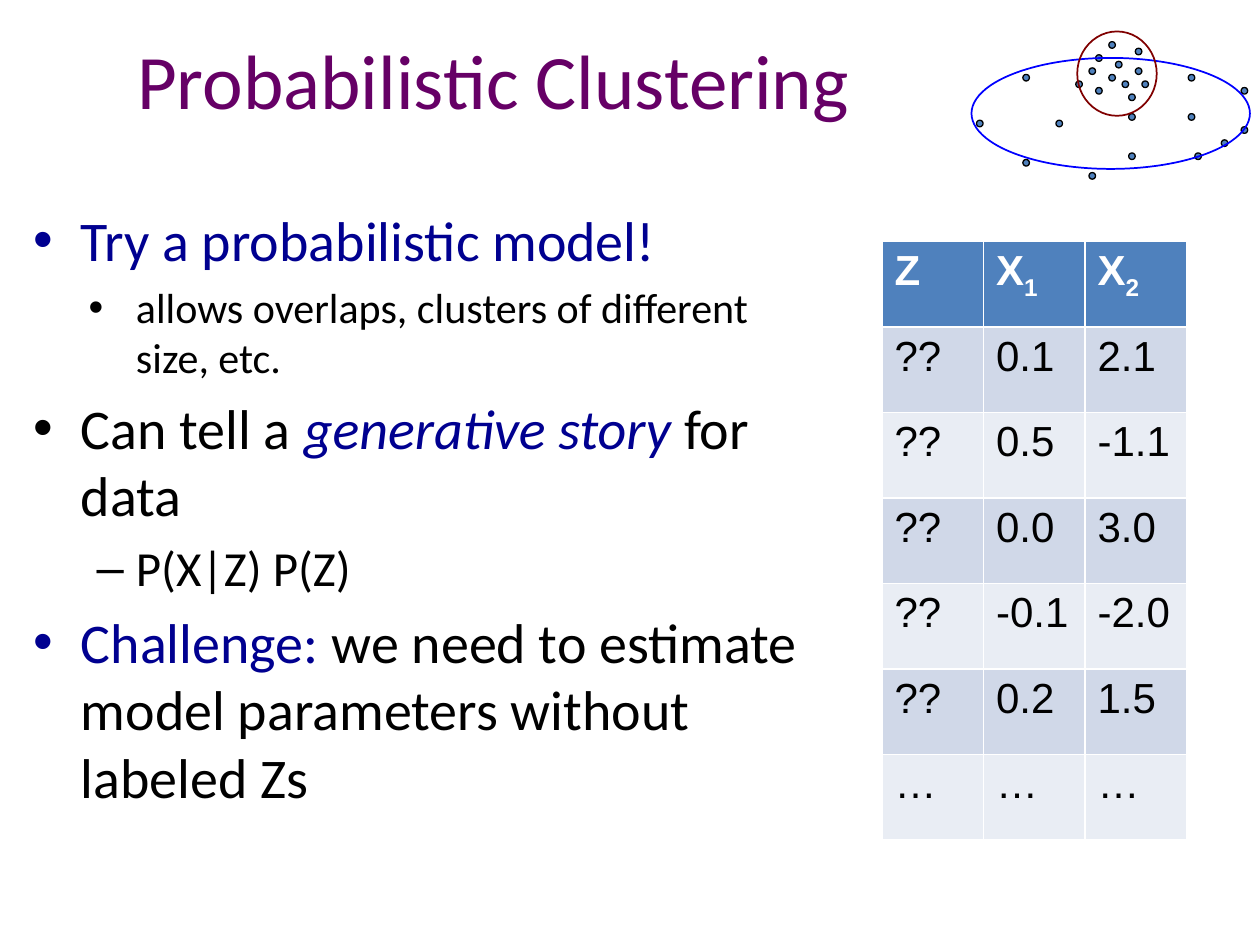
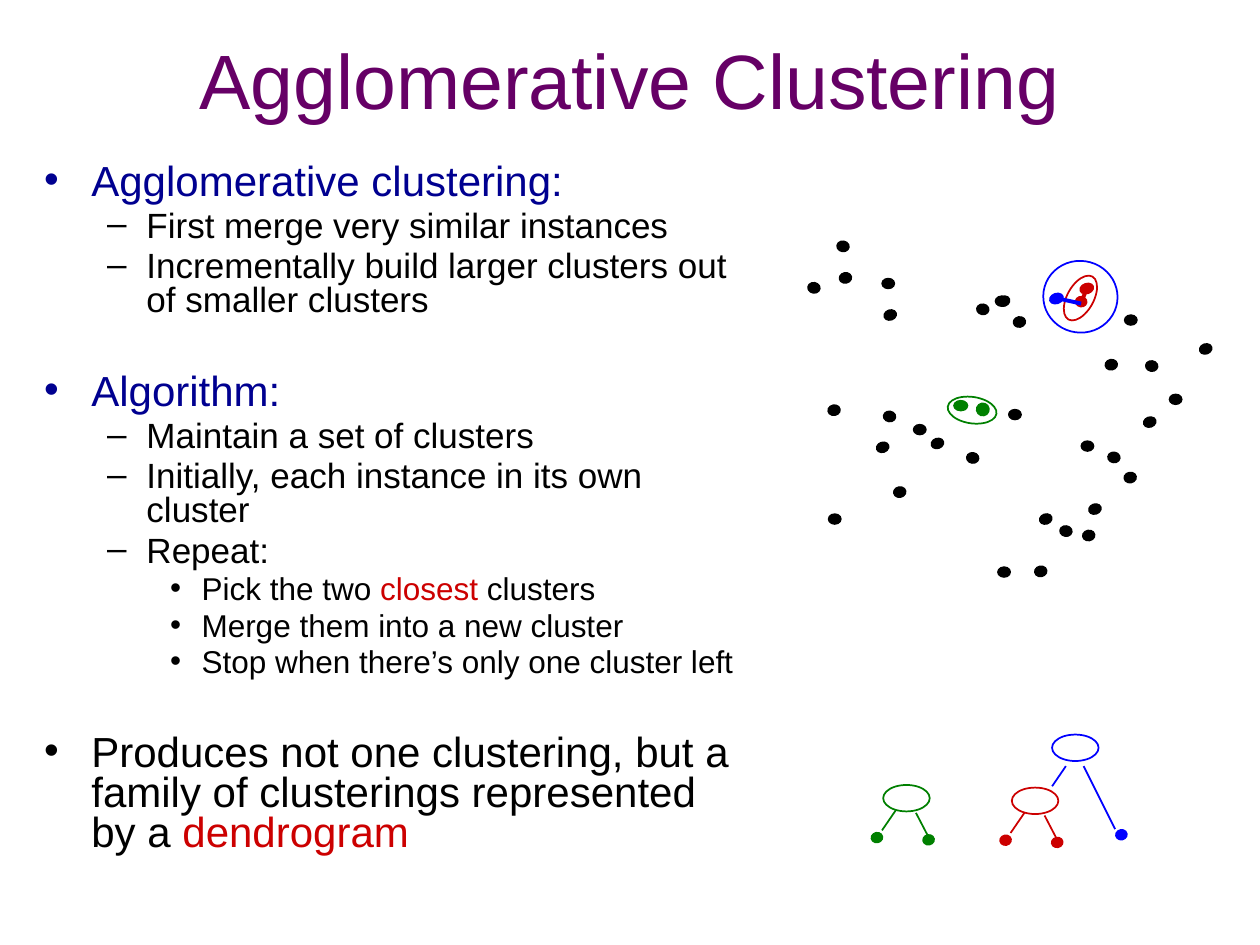
"""Builds two slides on probabilistic and agglomerative clustering."""
from dataclasses import dataclass
from typing import NamedTuple

from lxml import etree
from pptx import Presentation
from pptx.dml.color import RGBColor
from pptx.enum.shapes import MSO_CONNECTOR, MSO_SHAPE
from pptx.enum.text import MSO_ANCHOR, MSO_AUTO_SIZE, PP_ALIGN
from pptx.oxml.ns import qn
from pptx.util import Pt

ELLIPSE = MSO_SHAPE.OVAL
STRAIGHT = MSO_CONNECTOR.STRAIGHT
MIDDLE = MSO_ANCHOR.MIDDLE
CENTER = PP_ALIGN.CENTER
NO_AUTOFIT = MSO_AUTO_SIZE.NONE


@dataclass(frozen=True)
class Theme:
    """Colours, fonts and sizes shared by the slides."""
    title: str = "660066"
    accent: str = "000090"
    text: str = "000000"
    white: str = "FFFFFF"
    red: str = "CC0000"
    green: str = "008000"
    blue: str = "0000FF"
    maroon: str = "800000"
    header: str = "4F81BD"
    bands: tuple[str, str] = ("D0D8E8", "E9EDF4")
    sans: str = "Arial"
    humanist: str = "Calibri"
    title_size: float = 44
    table_size: float = 24
    large_sizes: tuple[float, ...] = (32, 28, 24)
    small_sizes: tuple[float, ...] = (24, 20, 18)
    thin: float = 0.75
    outline: float = 1
    thick: float = 2.25


THEME = Theme()


class Box(NamedTuple):
    """A rectangle in points."""
    left: float
    top: float
    width: float
    height: float


class Span(NamedTuple):
    """A stretch of text in one style."""
    text: str
    color: str = THEME.text
    italic: bool = False


class Item(NamedTuple):
    """A list entry at one level."""
    level: int
    spans: list[Span]
    space_before: float | None = None
    indent: tuple[float, float] | None = None


class Oval(NamedTuple):
    """An ellipse given by its centre, size and rotation."""
    x: float
    y: float
    width: float
    height: float
    tilt: float = 0


class Link(NamedTuple):
    """A straight line between two points."""
    x1: float
    y1: float
    x2: float
    y2: float


class Merge(NamedTuple):
    """Points joined into a ringed cluster."""
    color: str
    points: list[Oval]
    ring: Oval
    link: Link


SECTION_GAP = 31.5
MODEL_ITEMS = [
    Item(0, [Span("Try a probabilistic model!", THEME.accent)]),
    Item(2, [Span("allows overlaps, clusters of different size, etc.")], indent=(58.5, -27)),
    Item(0, [Span("Can tell a "), Span("generative story ", THEME.accent, True),
             Span("for data")]),
    Item(1, [Span("P(X|Z) P(Z)")]),
    Item(0, [Span("Challenge: ", THEME.accent),
             Span("we need to estimate model parameters without labeled Zs")]),
]
AGGLOMERATIVE_ITEMS = [
    Item(0, [Span("Agglomerative clustering:", THEME.accent)]),
    Item(1, [Span("First merge very similar instances")]),
    Item(1, [Span("Incrementally build larger clusters out of smaller clusters")]),
    Item(0, [Span("Algorithm:", THEME.accent)], SECTION_GAP),
    Item(1, [Span("Maintain a set of clusters")]),
    Item(1, [Span("Initially, each instance in its own cluster")]),
    Item(1, [Span("Repeat:")]),
    Item(2, [Span("Pick the two "), Span("closest ", THEME.red), Span("clusters")]),
    Item(2, [Span("Merge them into a new cluster")]),
    Item(2, [Span("Stop when there’s only one cluster left")]),
    Item(0, [Span("Produces not one clustering, but a family of clusterings represented by a "),
             Span("dendrogram", THEME.red)], SECTION_GAP),
]

SAMPLES = [
    ["Z", "X1", "X2"],
    ["??", "0.1", "2.1"],
    ["??", "0.5", "-1.1"],
    ["??", "0.0", "3.0"],
    ["??", "-0.1", "-2.0"],
    ["??", "0.2", "1.5"],
    ["…", "…", "…"],
]

GRID_LEFT, GRID_TOP, GRID_X, GRID_Y = 559.9, 25.7, 3.78, 3.74
GRID_POINTS = [
    (0, 12), (7, 18), (7, 5), (12, 12), (23, 17), (21, 3), (23, 11), (17, 20), (18, 2),
    (32, 5), (32, 11), (33, 17), (37, 15), (23, 8), (20, 0), (25, 6), (22, 6), (24, 1),
    (24, 4), (18, 7), (15, 6), (20, 5), (17, 4), (40, 7), (40, 13),
]

SCATTER = {
    (7.2, 5.8, 0): [
        (525.6, 245.5), (671.8, 228.2), (573.8, 326.9), (580, 236.9), (572.4, 172.1),
        (507.6, 162), (477, 296.6), (621.4, 254.9), (646.2, 182.9)],
    (7.2, 5.8, 341.4): [
        (689, 199.4), (597.6, 296.6), (625.7, 290.9), (504.4, 255.6), (573.5, 172.1),
        (508.7, 180), (535.7, 253.4), (657, 241.2)],
    (6, 7, 98.3): [
        (465.1, 164.5), (555.8, 261.7), (508.3, 238), (561.6, 176.8), (636.5, 261.4),
        (658.1, 209.2), (481.7, 140.8), (609.1, 303.5)],
    (6, 7, 79.6): [
        (594.7, 326.5), (476.6, 234.4), (514.1, 281.2), (483.1, 158.8), (645.8, 272.9),
        (635, 208.4), (582.5, 184), (622.1, 306)],
}

MERGES = [
    Merge(THEME.red,
          [Oval(621, 164.9, 7.9, 5.8, 341.4), Oval(617.8, 172.4, 5.8, 6.5, 98.3)],
          Oval(617.4, 170.3, 28.1, 15.1, 299.1), Link(617.8, 172.8, 619.9, 167.8)),
    Merge(THEME.green,
          [Oval(549, 231.8, 7.9, 5.8), Oval(561.6, 234, 7.2, 7.2, 79.6)],
          Oval(555.5, 234.4, 28.1, 15.1, 8.3), Link(548.6, 232.6, 552.2, 233.3)),
    Merge(THEME.blue, [Oval(603.7, 170.6, 7.9, 5.8, 341.4)],
          Oval(617.4, 169.6, 42.5, 41, 8.3), Link(604.8, 170.6, 617.8, 173.5)),
]


def rgb(color: str) -> RGBColor:
    """Turn a hex string into a colour."""
    return RGBColor.from_string(color)


def place(shape, box: Box) -> None:
    """Move and size a shape."""
    shape.left, shape.top, shape.width, shape.height = map(Pt, box)


def style_font(font, face: str, size: float, color: str) -> None:
    """Set face, size and colour of a font."""
    font.name, font.size = face, Pt(size)
    font.color.rgb = rgb(color)


def add_title(slide, text: str, box: Box, face: str) -> None:
    """Fill the title placeholder."""
    title = slide.shapes.title
    place(title, box)
    frame = title.text_frame
    frame.text = text
    frame.auto_size, frame.vertical_anchor = NO_AUTOFIT, MIDDLE
    frame.paragraphs[0].alignment = CENTER
    style_font(frame.paragraphs[0].runs[0].font, face, THEME.title_size, THEME.title)


def add_list(slide, items: list[Item], box: Box, face: str,
             sizes: tuple[float, ...], line_spacing: float | None = None) -> None:
    """Fill the body placeholder with a multilevel list."""
    body = slide.placeholders[1]
    place(body, box)
    frame = body.text_frame
    frame.auto_size = NO_AUTOFIT
    for index, item in enumerate(items):
        paragraph = frame.add_paragraph() if index else frame.paragraphs[0]
        paragraph.level = item.level
        paragraph.line_spacing = line_spacing
        if item.space_before:
            paragraph.space_before = Pt(item.space_before)
        if item.indent:
            margin, hanging = item.indent
            properties = paragraph._p.get_or_add_pPr()
            properties.set("marL", str(Pt(margin)))
            properties.set("indent", str(Pt(hanging)))
        for span in item.spans:
            run = paragraph.add_run()
            run.text = span.text
            style_font(run.font, face, sizes[item.level], span.color)
            if span.italic:
                run.font.italic = True


def add_samples(slide, box: Box) -> None:
    """Draw the table of samples with subscripted headings."""
    table = slide.shapes.add_table(len(SAMPLES), len(SAMPLES[0]), *map(Pt, box)).table
    for row, values in enumerate(SAMPLES):
        for column, value in enumerate(values):
            cell = table.cell(row, column)
            cell.fill.solid()
            cell.fill.fore_color.rgb = rgb(THEME.bands[(row - 1) % 2] if row else THEME.header)
            paragraph = cell.text_frame.paragraphs[0]
            paragraph.text = value if row else value[0]
            if not row and value[1:]:
                subscript = paragraph.add_run()
                subscript.text = value[1:]
                subscript._r.get_or_add_rPr().set("baseline", "-25000")
            for run in paragraph.runs:
                style_font(run.font, THEME.sans, THEME.table_size,
                           THEME.text if row else THEME.white)
                run.font.bold = row == 0


def add_oval(slide, oval: Oval, line: str, fill: str | None = None) -> None:
    """Draw a filled point, or an outlined ring when no fill is given."""
    shape = slide.shapes.add_shape(
        ELLIPSE, Pt(oval.x - oval.width / 2), Pt(oval.y - oval.height / 2),
        Pt(oval.width), Pt(oval.height))
    shape.rotation = oval.tilt
    shape.shadow.inherit = False
    shape.line.color.rgb = rgb(line)
    shape.line.width = Pt(THEME.thin if fill else THEME.outline)
    if fill:
        shape.fill.solid()
        shape.fill.fore_color.rgb = rgb(fill)
    else:
        shape.fill.background()


def add_link(slide, link: Link, color: str, width: float = THEME.outline) -> None:
    """Draw a straight line without shadow."""
    connector = slide.shapes.add_connector(STRAIGHT, *map(Pt, link))
    connector.line.color.rgb = rgb(color)
    connector.line.width = Pt(width)
    etree.SubElement(connector._element.spPr, qn("a:effectLst"))


def add_node(slide, x: float, y: float, color: str) -> None:
    """Draw an inner node of the dendrogram."""
    add_oval(slide, Oval(x, y, 26.6, 15.1), color)


def add_leaf(slide, x: float, y: float, color: str) -> None:
    """Draw a leaf of the dendrogram."""
    add_oval(slide, Oval(x, y, 5.8, 6.5, 79.6), color, color)


def add_pair_tree(slide, x: float, y: float, color: str) -> None:
    """Draw a node centred at x, y with two leaves."""
    add_leaf(slide, x + 12.6, y + 23.8, color)
    add_leaf(slide, x - 16.9, y + 22.5, color)
    add_node(slide, x, y, color)
    add_link(slide, Link(x - 14, y + 18.4, x - 6.1, y + 6.9), color)
    add_link(slide, Link(x + 5.4, y + 8.4, x + 13, y + 23), color)


def build_probabilistic(slide) -> None:
    """Build the slide on the probabilistic model."""
    add_title(slide, "Probabilistic Clustering", Box(6, 0, 552, 90), THEME.humanist)
    add_list(slide, MODEL_ITEMS, Box(12, 114, 462, 384), THEME.humanist, THEME.large_sizes)
    add_samples(slide, Box(504, 138, 174, 342))
    for column, row in GRID_POINTS:
        point = Oval(GRID_LEFT + column * GRID_X, GRID_TOP + row * GRID_Y, 3.78, 3.78)
        add_oval(slide, point, THEME.text, THEME.header)
    add_oval(slide, Oval(634.7, 64.8, 159.1, 63.4), THEME.blue)
    add_oval(slide, Oval(638.3, 42.1, 45.4, 48.2), THEME.maroon)


def build_agglomerative(slide) -> None:
    """Build the slide on merging clusters into a dendrogram."""
    add_title(slide, "Agglomerative Clustering", Box(36, 0, 648, 90), THEME.sans)
    add_list(slide, AGGLOMERATIVE_ITEMS, Box(18, 90, 414, 356.4), THEME.sans,
             THEME.small_sizes, 0.8)
    add_pair_tree(slide, 518, 456.1, THEME.green)
    add_pair_tree(slide, 591.5, 457.6, THEME.red)
    add_leaf(slide, 640.8, 477, THEME.blue)
    add_node(slide, 614.5, 427.3, THEME.blue)
    add_link(slide, Link(601.2, 449.3, 609.1, 437.8), THEME.blue)
    add_link(slide, Link(619.2, 437.8, 637.2, 473.8), THEME.blue)
    for (width, height, tilt), centers in SCATTER.items():
        for x, y in centers:
            add_oval(slide, Oval(x, y, width, height, tilt), THEME.text, THEME.text)
    for merge in MERGES:
        for point in merge.points:
            add_oval(slide, point, merge.color, merge.color)
        add_oval(slide, merge.ring, merge.color)
        add_link(slide, merge.link, merge.color, THEME.thick)


def main() -> None:
    """Build and save the presentation."""
    deck = Presentation()
    deck.slide_width, deck.slide_height = Pt(720), Pt(540)
    for build in (build_probabilistic, build_agglomerative):
        build(deck.slides.add_slide(deck.slide_layouts[1]))
    deck.save("out.pptx")


if __name__ == "__main__":
    main()
